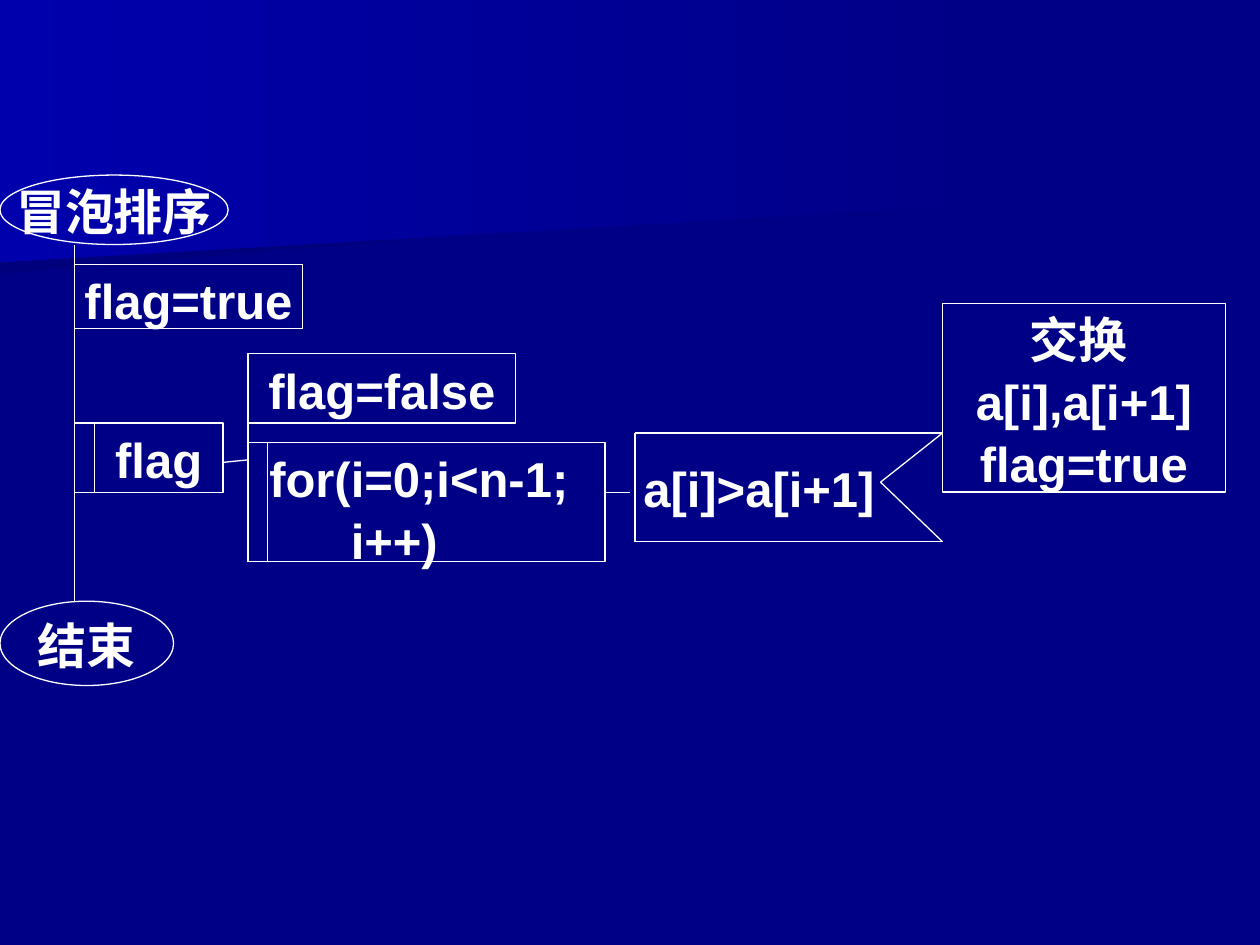
from itertools import pairwise

from lxml.etree import SubElement
from pptx import Presentation
from pptx.dml.color import RGBColor
from pptx.enum.shapes import MSO_CONNECTOR, MSO_SHAPE
from pptx.enum.text import MSO_ANCHOR, PP_ALIGN
from pptx.oxml.ns import qn
from pptx.util import Cm, Pt

COLORS = {
    "background": "000086",
    "ink": "FFFFFF",
    "band_dark": "00007D",
    "band_light": "0000AC",
}


def color(name):
    return RGBColor.from_string(COLORS[name])


class Diagram:
    """Draws on one page; all lengths are centimetres."""

    font_name = "Arial"
    font_size = Pt(28)
    line_width = Pt(0.75)
    bar_width = 0.4

    def __init__(self, page):
        self.page = page
        fill = page.background.fill
        fill.solid()
        fill.fore_color.rgb = color("background")

    def band(self, points, left_color):
        """Backdrop polygon fading to the background colour on its right."""
        start, *others = [(Cm(x), Cm(y)) for x, y in points]
        builder = self.page.shapes.build_freeform(*start, scale=1.0)
        builder.add_line_segments(others, close=True)
        shape = builder.convert_to_shape()
        shape.shadow.inherit = False
        shape.line.fill.background()
        shape.fill.gradient()
        shape.fill.gradient_angle = 180
        for stop, name in zip(shape.fill.gradient_stops, ("background", left_color)):
            stop.color.rgb = color(name)

    def line(self, *points):
        """Straight segments through the given points."""
        for start, end in pairwise(points):
            connector = self.page.shapes.add_connector(
                MSO_CONNECTOR.STRAIGHT, *map(Cm, start + end))
            connector.line.color.rgb = color("ink")
            connector.line.width = self.line_width
            SubElement(connector._element.spPr, qn("a:effectLst"))

    def add_text(self, shape, lines, align, anchor, wrap):
        frame = shape.text_frame
        frame.word_wrap = wrap
        frame.vertical_anchor = anchor
        frame.margin_left = frame.margin_right = frame.margin_bottom = Cm(0.03)
        frame.margin_top = Cm(0.07 if anchor == MSO_ANCHOR.TOP else 0.03)
        for index, words in enumerate(lines):
            para = frame.add_paragraph() if index else frame.paragraphs[0]
            para.alignment = align
            para.line_spacing = 1.05
            span = para.add_run()
            span.text = words
            span.font.name = self.font_name
            span.font.size = self.font_size
            span.font.bold = True
            span.font.color.rgb = color("ink")

    def outline(self, kind, place):
        shape = self.page.shapes.add_shape(kind, *map(Cm, place))
        shape.shadow.inherit = False
        shape.fill.background()
        shape.line.color.rgb = color("ink")
        shape.line.width = self.line_width
        return shape

    def box(self, place, *lines, align=PP_ALIGN.CENTER):
        self.add_text(self.outline(MSO_SHAPE.RECTANGLE, place), lines, align,
                      MSO_ANCHOR.TOP, True)

    def loop(self, place, *lines, align=PP_ALIGN.CENTER):
        """Box with a narrow bar along its left side."""
        left, top, width, height = place
        bar = self.bar_width
        self.outline(MSO_SHAPE.RECTANGLE, (left, top, bar, height))
        self.box((left + bar, top, width - bar, height), *lines, align=align)

    def terminal(self, place, words):
        self.add_text(self.outline(MSO_SHAPE.OVAL, place), [words],
                      PP_ALIGN.CENTER, MSO_ANCHOR.MIDDLE, False)

    def label(self, place, words):
        box = self.page.shapes.add_textbox(*map(Cm, place))
        self.add_text(box, [words], PP_ALIGN.CENTER, MSO_ANCHOR.TOP, True)


def main():
    deck = Presentation()
    deck.slide_width, deck.slide_height = Cm(25.4), Cm(19.05)
    diagram = Diagram(deck.slides.add_slide(deck.slide_layouts[6]))

    diagram.band([(19.76, 3.89), (0, 5.51), (0, 2.57), (19.79, 2.57)], "band_dark")
    diagram.band([(20.12, 4.11), (0, 5.28), (0, 0), (20.12, 0)], "band_light")

    spine, body = 1.5, 5
    diagram.terminal((0, 3.53, 4.6, 1.4), "冒泡排序")
    diagram.line((spine, 4.93), (spine, 12.12))
    diagram.terminal((0, 12.12, 3.5, 1.7), "结束")
    diagram.box((spine, 5.33, 4.6, 1.3), "flag=true")
    diagram.loop((spine, 8.53, 3, 1.4), "flag")

    diagram.line((4.5, 9.32), (body, 9.27))
    diagram.line((body, 7.13), (body, 11.32))
    diagram.box((body, 7.13, 5.4, 1.4), "flag=false")
    diagram.loop((body, 8.92, 7.2, 2.4), "for(i=0;i<n-1;", "      i++)",
                 align=PP_ALIGN.LEFT)

    diagram.line((12.2, 9.93), (12.7, 9.93))
    left, right, top, bottom = 12.8, 19, 8.73, 10.92
    diagram.line((left, top), (right, top), (17.75, 9.72), (right, bottom),
                 (left, bottom), (left, top))
    diagram.label((left, 9.12, 5, 1.57), "a[i]>a[i+1]")
    diagram.box((right, 6.12, 5.7, 3.8), "交换 ", "a[i],a[i+1]", "flag=true")

    deck.save("out.pptx")


if __name__ == "__main__":
    main()
